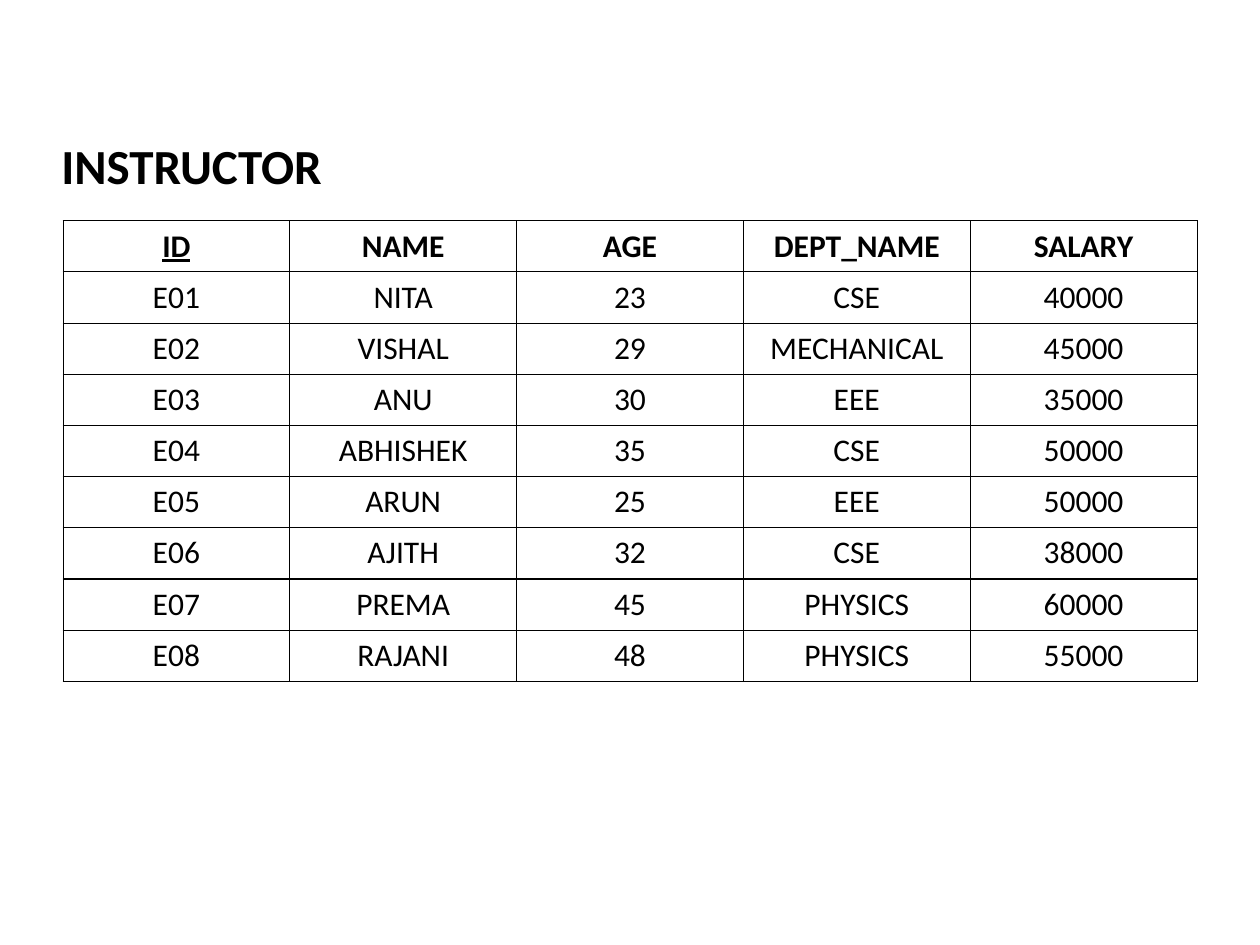
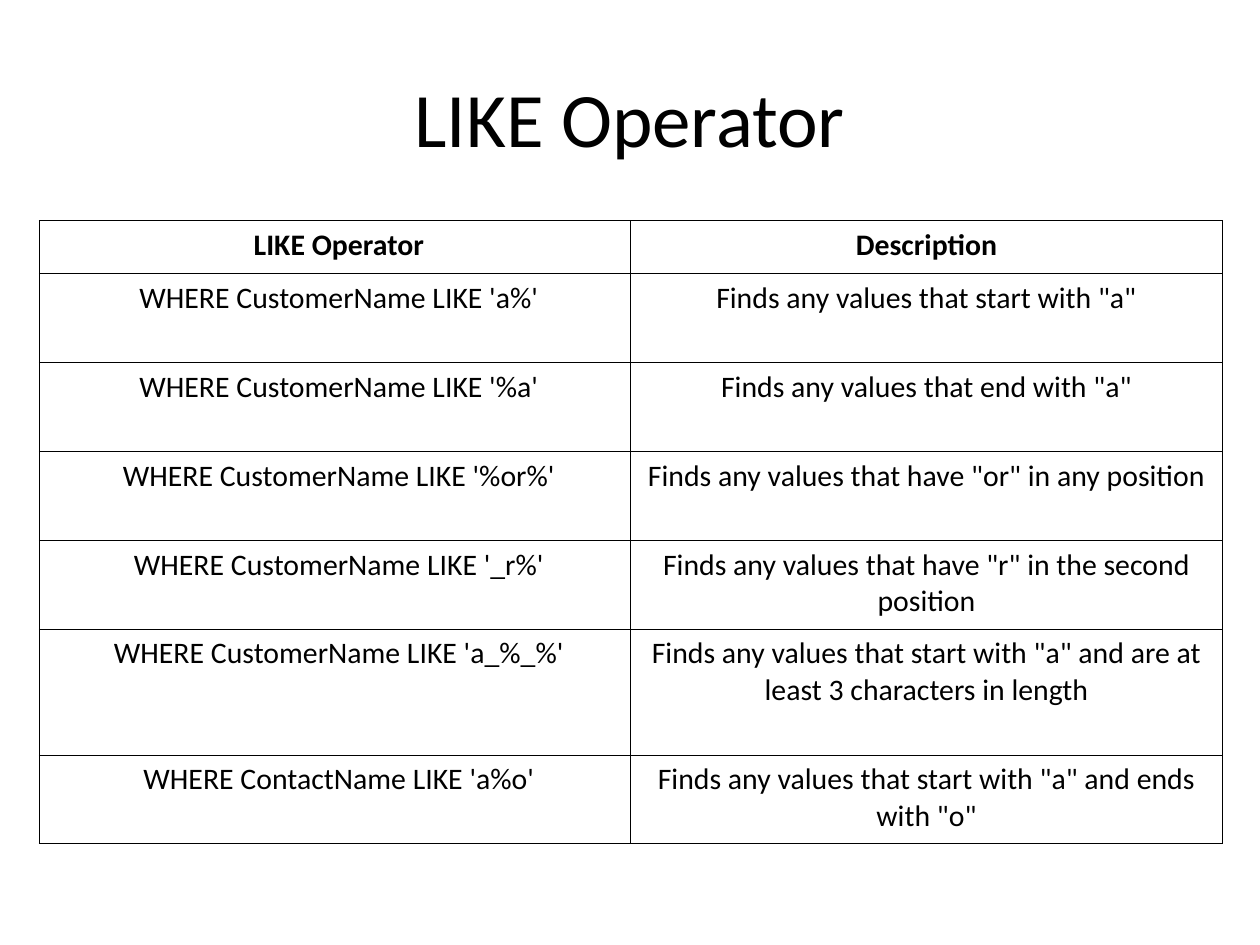
from lxml import etree
from pptx import Presentation
from pptx import util as u
from pptx.dml.color import RGBColor
from pptx.enum import text
from pptx.oxml import ns

BLACK = RGBColor(0x00, 0x00, 0x00)
WHITE = RGBColor(0xFF, 0xFF, 0xFF)
FONT = "Calibri"
BORDER_WIDTH = u.Pt(0.45)
TABLE_TOP = 4.45
TITLE_SIZE = (22.86, 3.18)

INSTRUCTOR_FIELDS = ("ID", "NAME", "AGE", "DEPT_NAME", "SALARY")
INSTRUCTORS = (
    ("E01", "NITA", "23", "CSE", "40000"),
    ("E02", "VISHAL", "29", "MECHANICAL", "45000"),
    ("E03", "ANU", "30", "EEE", "35000"),
    ("E04", "ABHISHEK", "35", "CSE", "50000"),
    ("E05", "ARUN", "25", "EEE", "50000"),
    ("E06", "AJITH", "32", "CSE", "38000"),
)
LATER_INSTRUCTORS = (
    ("E07", "PREMA", "45", "PHYSICS", "60000"),
    ("E08", "RAJANI", "48", "PHYSICS", "55000"),
)
LIKE_HEADINGS = ("LIKE Operator", "Description")
LIKE_PATTERNS = (
    ("WHERE CustomerName LIKE 'a%'", 'Finds any values that start with "a"'),
    ("WHERE CustomerName LIKE '%a'", 'Finds any values that end with "a"'),
    ("WHERE CustomerName LIKE '%or%'", 'Finds any values that have "or" in any position'),
    ("WHERE CustomerName LIKE '_r%'", 'Finds any values that have "r" in the second position'),
    ("WHERE CustomerName LIKE 'a_%_%'",
     'Finds any values that start with "a" and are at least 3 characters in length'),
    ("WHERE ContactName LIKE 'a%o'", 'Finds any values that start with "a" and ends with "o"'),
)


def apply_format(target, values):
    """Set every attribute named in values on target."""
    for attribute, value in values.items():
        setattr(target, attribute, value)


def write_line(frame, words, align, **font_values):
    """Write one formatted line of words into a text frame."""
    paragraph = frame.paragraphs[0]
    paragraph.alignment = align
    run = paragraph.add_run()
    run.text = words
    apply_format(run.font, {"name": FONT, **font_values})
    run.font.color.rgb = BLACK


def add_title(slide, left, top, words, align, margin_top=0.13, **font_values):
    """Add a slide title, centred vertically below its top margin."""
    title = slide.shapes.add_textbox(*map(u.Cm, (left, top, *TITLE_SIZE)))
    apply_format(title.text_frame, {
        "word_wrap": True,
        "vertical_anchor": text.MSO_ANCHOR.MIDDLE,
        "margin_top": u.Cm(margin_top),
    })
    write_line(title.text_frame, words, align, **font_values)


def outline_cell(cell):
    """Draw a thin black border on all four sides of a cell."""
    properties = cell._tc.get_or_add_tcPr()
    for position, side in enumerate(("lnL", "lnR", "lnT", "lnB")):
        border = etree.Element(ns.qn(f"a:{side}"), w=str(BORDER_WIDTH))
        fill = etree.SubElement(border, ns.qn("a:solidFill"))
        etree.SubElement(fill, ns.qn("a:srgbClr"), val=str(BLACK))
        properties.insert(position, border)


def add_grid(slide, left, top, width, heights, rows, size, margins, header=True, key=None):
    """Add a ruled table; margins holds a (left, right) pair for each column."""
    frame = slide.shapes.add_table(
        len(rows), len(rows[0]), *map(u.Cm, (left, top, width, sum(heights))))
    grid = frame.table
    apply_format(grid, {"first_row": header, "horz_banding": False})
    for column in grid.columns:
        column.width = u.Cm(width / len(rows[0]))
    for r, (height, row) in enumerate(zip(heights, rows)):
        grid.rows[r].height = u.Cm(height)
        for c, words in enumerate(row):
            cell = grid.cell(r, c)
            margin_left, margin_right = margins[c]
            apply_format(cell, {
                "margin_left": u.Cm(margin_left),
                "margin_right": u.Cm(margin_right),
                "margin_top": u.Cm(0.13),
                "margin_bottom": u.Cm(0.13),
            })
            cell.fill.solid()
            cell.fill.fore_color.rgb = WHITE
            is_heading = header and r == 0
            write_line(cell.text_frame, words, text.PP_ALIGN.CENTER, size=u.Pt(size),
                       bold=is_heading, underline=is_heading and words == key)
            outline_cell(cell)


def build_instructor(slide):
    """Build the INSTRUCTOR relation, whose last rows form a second table."""
    add_title(slide, 0.99, 1.12, "INSTRUCTOR", text.PP_ALIGN.LEFT, margin_top=1.37,
              size=u.Pt(28), bold=True)
    margins = [(0.25, 0.25)] * len(INSTRUCTOR_FIELDS)
    first_rows = (INSTRUCTOR_FIELDS, *INSTRUCTORS)
    for top, rows, header in ((TABLE_TOP, first_rows, True),
                              (11.68, LATER_INSTRUCTORS, False)):
        add_grid(slide, 1.27, top, 22.86, [1.03] * len(rows), rows, 18, margins,
                 header, key="ID")


def build_like_operator(slide):
    """Build the table of LIKE patterns and their meaning."""
    add_title(slide, 1.27, 0.76, "LIKE Operator", text.PP_ALIGN.CENTER, size=u.Pt(44))
    heights = [1.07, *[1.79] * 4, 2.54, 1.79]
    add_grid(slide, 0.79, TABLE_TOP, 23.85, heights, (LIKE_HEADINGS, *LIKE_PATTERNS), 17,
             [(0.32, 0.16), (0.16, 0.16)])


def main():
    """Build both slides and save the presentation."""
    deck = Presentation()
    apply_format(deck, {"slide_width": u.Cm(25.4), "slide_height": u.Cm(19.05)})
    for build in (build_instructor, build_like_operator):
        build(deck.slides.add_slide(deck.slide_layouts[6]))
    deck.save("out.pptx")


if __name__ == "__main__":
    main()
